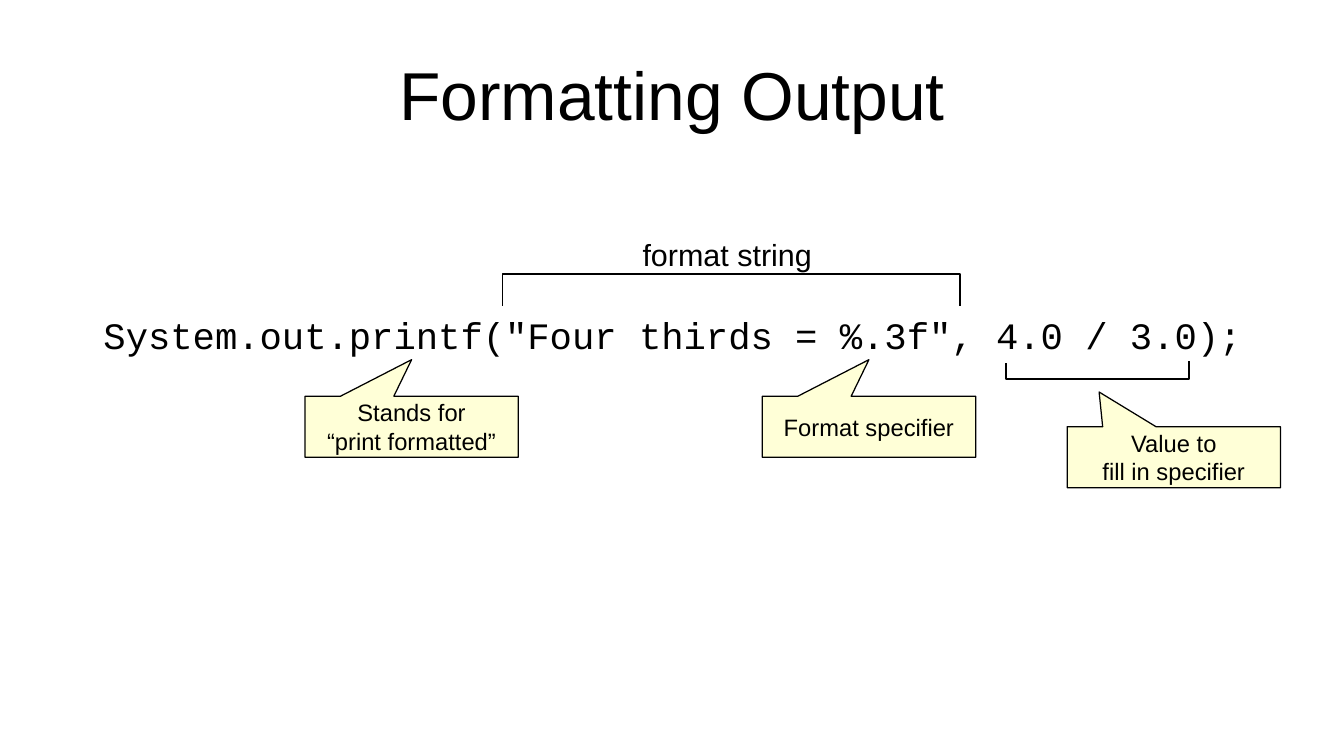
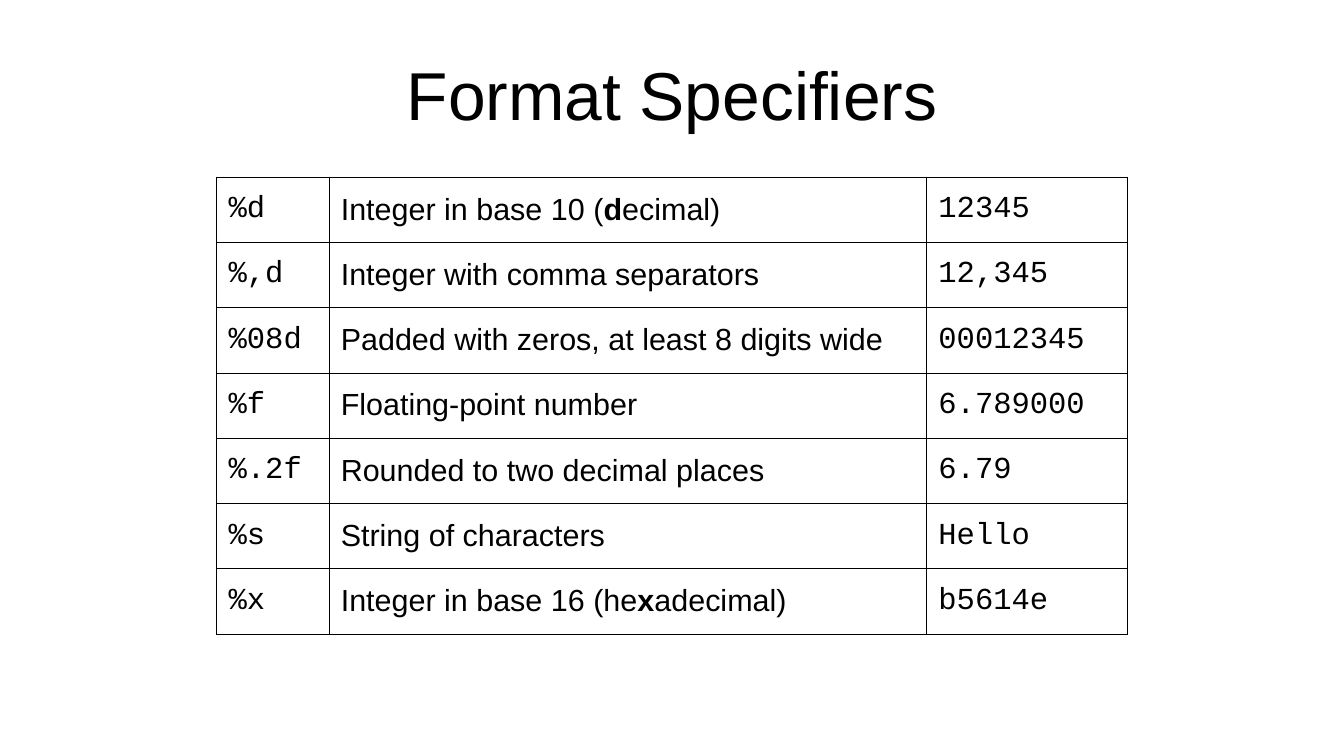
from lxml.etree import SubElement
from pptx import Presentation
from pptx.dml.color import RGBColor
from pptx.enum.shapes import MSO_SHAPE
from pptx.enum.text import MSO_ANCHOR, PP_ALIGN
from pptx.oxml.ns import qn
from pptx.util import Inches, Pt

WIDE, HIGH = 11.02, 6.2
HUES = {"ink": "000000", "paper": "FFFFFF", "note": "FFFFD7"}
SANS, MONO = "Arial", "Courier New"
HAIR = Pt(0.06)

CODE = 'System.out.printf("Four thirds = %.3f", 4.0 / 3.0);'
LABELS = [  # text, box, size, font
    (CODE, (0.75, 2.51, 9.55, 0.44), 22, MONO),
    ("format string", (5.17, 1.89, 1.59, 0.38), 18, SANS),
]
BRACKETS = [  # left, right, bar, left tip, right tip
    (4.12, 7.87, 2.25, 2.51, 2.51),
    (8.25, 9.75, 3.11, 2.98, 2.96),
]
NOTE_SIZE = (1.75, 0.5)
NOTES = [  # text, corner, pointer
    ("Stands for\n“print formatted”", (2.5, 3.25), (0, -1.1)),
    ("Format specifier", (6.25, 3.25), (0, -1.1)),
    ("Value to\vfill in specifier", (8.75, 3.5), (-0.35, -1.07)),
]

TABLE_TOP, TABLE_HIGH = 1.45, 3.75
COLUMNS = [(0.92, MONO), (4.9, SANS), (1.65, MONO)]
ROWS = [  # stars enclose bold letters
    ("%d", "Integer in base 10 (*d*ecimal)", "12345"),
    ("%,d", "Integer with comma separators", "12,345"),
    ("%08d", "Padded with zeros, at least 8 digits wide", "00012345"),
    ("%f", "Floating-point number", "6.789000"),
    ("%.2f", "Rounded to two decimal places", "6.79"),
    ("%s", "String of characters", "Hello"),
    ("%x", "Integer in base 16 (he*x*adecimal)", "b5614e"),
]


def hue(name):
    return RGBColor.from_string(HUES[name])


def place(shape, *box):
    shape.left, shape.top, shape.width, shape.height = map(Inches, box)


def style(frame, size, face=SANS, align=PP_ALIGN.LEFT):
    for para in frame.paragraphs:
        para.alignment = align
        para.font.size, para.font.name = Pt(size), face
        para.font.color.rgb = hue("ink")


def add_slide(deck, title):
    slide = deck.slides.add_slide(deck.slide_layouts[5])
    head = slide.shapes.title
    place(head, 0.55, 0.25, WIDE - 2 * 0.55, 1.04)
    frame = head.text_frame
    frame.text = title
    frame.vertical_anchor = MSO_ANCHOR.MIDDLE
    frame.margin_left = frame.margin_right = 0
    frame.margin_top = frame.margin_bottom = 0
    style(frame, 40, align=PP_ALIGN.CENTER)
    return slide


def add_label(slide, text, box, size, face):
    frame = slide.shapes.add_textbox(*map(Inches, box)).text_frame
    frame.word_wrap = False
    frame.text = text
    style(frame, size, face)


def add_bracket(slide, left, right, bar, *tips):
    spots = [(left, tips[0]), (left, bar), (right, bar), (right, tips[1])]
    first, *rest = [(Inches(x), Inches(y)) for x, y in spots]
    pen = slide.shapes.build_freeform(*first)
    pen.add_line_segments(rest, close=False)
    shape = pen.convert_to_shape()
    shape.shadow.inherit = False
    shape.fill.background()
    shape.line.color.rgb, shape.line.width = hue("ink"), Pt(1)


def add_note(slide, text, corner, tip):
    shape = slide.shapes.add_shape(
        MSO_SHAPE.RECTANGULAR_CALLOUT, *map(Inches, corner + NOTE_SIZE))
    shape.adjustments[0], shape.adjustments[1] = tip
    shape.shadow.inherit = False
    shape.fill.solid()
    shape.fill.fore_color.rgb = hue("note")
    shape.line.color.rgb, shape.line.width = hue("ink"), 0
    frame = shape.text_frame
    frame.word_wrap = False
    frame.vertical_anchor = MSO_ANCHOR.MIDDLE
    frame.text = text
    style(frame, 14, align=PP_ALIGN.CENTER)


def rule_cell(cell):
    """Draw a hairline on all four sides; call before the fill is set."""
    props = cell._tc.get_or_add_tcPr()
    for side in ("lnL", "lnR", "lnT", "lnB"):
        line = SubElement(props, qn("a:" + side), w=str(HAIR))
        fill = SubElement(line, qn("a:solidFill"))
        SubElement(fill, qn("a:srgbClr"), val=HUES["ink"])


def fill_cell(cell, text, face):
    rule_cell(cell)
    cell.fill.solid()
    cell.fill.fore_color.rgb = hue("paper")
    cell.vertical_anchor = MSO_ANCHOR.MIDDLE
    cell.margin_left = cell.margin_right = Inches(0.1)
    para = cell.text_frame.paragraphs[0]
    for i, part in enumerate(text.split("*")):
        run = para.add_run()
        run.text = part
        if i % 2:
            run.font.bold = True
    style(cell.text_frame, 18, face)


def add_grid(slide):
    wide = sum(width for width, _ in COLUMNS)
    box = ((WIDE - wide) / 2, TABLE_TOP, wide, TABLE_HIGH)
    table = slide.shapes.add_table(
        len(ROWS), len(COLUMNS), *map(Inches, box)).table
    table.first_row = table.horz_banding = False
    for col, (width, face) in enumerate(COLUMNS):
        table.columns[col].width = Inches(width)
        for row, texts in enumerate(ROWS):
            fill_cell(table.cell(row, col), texts[col], face)


def main():
    deck = Presentation()
    deck.slide_width, deck.slide_height = Inches(WIDE), Inches(HIGH)
    slide = add_slide(deck, "Formatting Output")
    for add, items in ((add_label, LABELS), (add_bracket, BRACKETS),
                       (add_note, NOTES)):
        for item in items:
            add(slide, *item)
    add_grid(add_slide(deck, "Format Specifiers"))
    deck.save("out.pptx")


if __name__ == "__main__":
    main()
